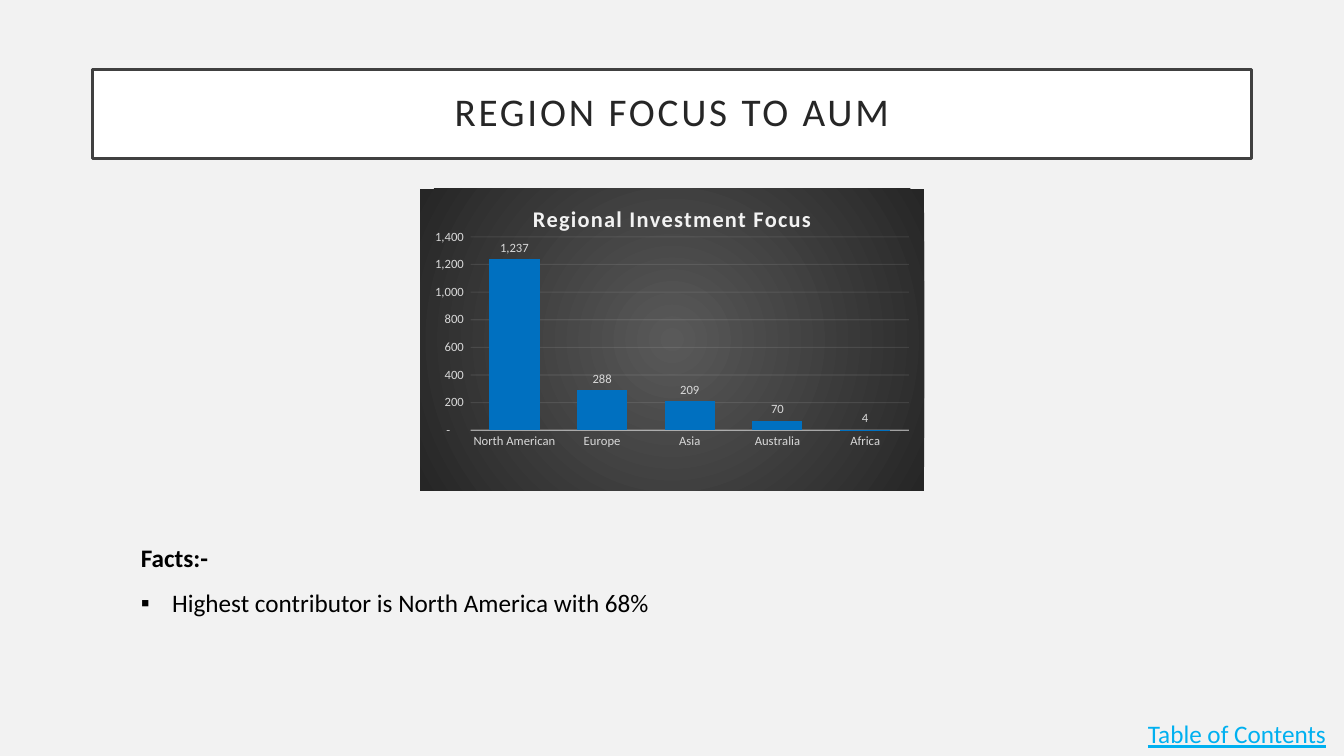
from lxml.etree import SubElement
from pptx import Presentation
from pptx.chart.data import CategoryChartData
from pptx.dml.color import RGBColor
from pptx.enum.chart import XL_CHART_TYPE, XL_LABEL_POSITION, XL_TICK_MARK
from pptx.enum.text import MSO_ANCHOR, MSO_AUTO_SIZE, PP_ALIGN
from pptx.oxml import parse_xml
from pptx.oxml.ns import nsdecls, qn
from pptx.util import Cm, Pt

TITLE = "REGION FOCUS TO AUM"
CHART_TITLE = "Regional Investment Focus"
REGIONS = {"North American": 1237, "Europe": 288, "Asia": 209, "Australia": 70, "Africa": 4}
FACTS = ["Facts:-", "Highest contributor is North America with 68%"]
CONTENTS_LABEL = "Table of Contents"
FONT = "Calibri"
NUMBER_FORMAT = '_(* #,##0_);_(* \\(#,##0\\);_(* "-"??_);_(@_)'
PLOT_LAYOUT = {"x": 0.1, "y": 0.16, "w": 0.87, "h": 0.64}

WHITE = RGBColor(0xFF, 0xFF, 0xFF)
BLACK = RGBColor(0, 0, 0)
PALE = RGBColor(0xF2, 0xF2, 0xF2)
LIGHT_GREY = RGBColor(0xD9, 0xD9, 0xD9)
MID_GREY = RGBColor(0x59, 0x59, 0x59)
DARK_GREY = RGBColor(0x40, 0x40, 0x40)
CHARCOAL = RGBColor(0x26, 0x26, 0x26)
BAR_BLUE = RGBColor(0, 0x70, 0xC0)
LINK_BLUE = RGBColor(0, 0xB0, 0xF0)


def style_font(font, size, color, bold=False):
    """Set the typeface, size, colour and weight of a font."""
    font.name, font.size, font.bold = FONT, Pt(size), bold
    font.color.rgb = color


def space_letters(span, points):
    """Set the letter spacing of a run."""
    span.font._element.set("spc", str(points * 100))


def draw_axis_line(axis, line, width, opacity):
    """Draw an axis or grid line in a translucent pale grey."""
    line.width = Pt(width)
    line.color.rgb = PALE
    color = axis._element.xpath(".//a:ln//a:srgbClr")[0]
    SubElement(color, qn("a:alpha"), val=str(opacity * 1000))


def add_title(page):
    """Format the title placeholder as a framed banner."""
    title = page.shapes.title
    title.left, title.top, title.width, title.height = Cm(2.33), Cm(1.75), Cm(29.21), Cm(2.24)
    title.fill.solid()
    title.fill.fore_color.rgb = WHITE
    title.line.color.rgb = DARK_GREY
    title.line.width = Pt(2.5)
    frame = title.text_frame
    frame.text = TITLE
    frame.vertical_anchor = MSO_ANCHOR.MIDDLE
    frame.margin_left = frame.margin_right = frame.margin_top = frame.margin_bottom = Cm(0.5)
    para = frame.paragraphs[0]
    para.alignment = PP_ALIGN.CENTER
    para.line_spacing = 0.9
    style_font(para.runs[0].font, 28, CHARCOAL)
    space_letters(para.runs[0], 2)


def add_region_chart(page):
    """Add the column chart on its dark radial background."""
    chart_data = CategoryChartData(number_format=NUMBER_FORMAT)
    chart_data.categories = list(REGIONS)
    chart_data.add_series("Series 1", list(REGIONS.values()))
    chart = page.shapes.add_chart(
        XL_CHART_TYPE.COLUMN_CLUSTERED, Cm(10.59), Cm(4.75), Cm(12.7), Cm(7.62), chart_data
    ).chart
    chart.has_legend = False
    style_font(chart.font, 10, BLACK)
    chart.chart_title.text_frame.text = CHART_TITLE
    heading = chart.chart_title.text_frame.paragraphs[0].runs[0]
    style_font(heading.font, 16, PALE, True)
    space_letters(heading, 1)
    chart.chart_title.include_in_layout = False

    regions, amounts = chart.category_axis, chart.value_axis
    for axis in (regions, amounts):
        axis.major_tick_mark = axis.minor_tick_mark = XL_TICK_MARK.NONE
        style_font(axis.tick_labels.font, 9, LIGHT_GREY)
    draw_axis_line(regions, regions.format.line, 1, 54)
    draw_axis_line(amounts, amounts.major_gridlines.format.line, 0.75, 10)
    amounts.format.line.fill.background()
    amounts.minimum_scale, amounts.maximum_scale, amounts.major_unit = 0, 1400, 200
    amounts.tick_labels.number_format = NUMBER_FORMAT
    amounts.tick_labels.number_format_is_linked = False

    plot = chart.plots[0]
    plot.gap_width, plot.overlap, plot.vary_by_categories = 75, 40, False
    series = plot.series[0]
    series.format.fill.solid()
    series.format.fill.fore_color.rgb = BAR_BLUE
    labels = series.data_labels
    labels.show_value = True
    labels.position = XL_LABEL_POSITION.OUTSIDE_END
    labels.number_format = NUMBER_FORMAT
    labels.number_format_is_linked = False
    style_font(labels.font, 9, LIGHT_GREY)

    plot_area = chart._chartSpace.chart.plotArea
    for layout in plot_area.findall(qn("c:layout")):
        plot_area.remove(layout)
    sizes = "".join(f'<c:{side} val="{share}"/>' for side, share in PLOT_LAYOUT.items())
    plot_area.insert(0, parse_xml(
        f'<c:layout {nsdecls("c")}><c:manualLayout><c:layoutTarget val="inner"/>'
        f'<c:xMode val="edge"/><c:yMode val="edge"/>{sizes}</c:manualLayout></c:layout>'
    ))
    chart._chartSpace.chart.addnext(parse_xml(
        f'<c:spPr {nsdecls("c", "a")}><a:gradFill><a:gsLst>'
        f'<a:gs pos="0"><a:srgbClr val="{MID_GREY}"/></a:gs>'
        f'<a:gs pos="100000"><a:srgbClr val="{CHARCOAL}"/></a:gs></a:gsLst>'
        '<a:path path="circle"><a:fillToRect l="50000" t="50000" r="50000" b="50000"/></a:path>'
        '</a:gradFill><a:ln><a:noFill/></a:ln></c:spPr>'
    ))


def add_text(page, lines, left, top, width, height, color):
    """Add an unwrapped text box and return its paragraphs."""
    box = page.shapes.add_textbox(Cm(left), Cm(top), Cm(width), Cm(height))
    frame = box.text_frame
    frame.text = "\n".join(lines)
    frame.word_wrap = False
    frame.auto_size = MSO_AUTO_SIZE.SHAPE_TO_FIT_TEXT
    for para in frame.paragraphs:
        style_font(para.runs[0].font, 18, color)
    return frame.paragraphs


def add_facts(page):
    """Add the bold heading and its bulleted fact."""
    heading, fact = add_text(page, FACTS, 3.3, 13.16, 13.74, 2.44, BLACK)
    heading.line_spacing = fact.line_spacing = 1.5
    heading.runs[0].font.bold = True
    properties = fact._p.get_or_add_pPr()
    indent = Cm(0.79)
    properties.set("marL", str(indent))
    properties.set("indent", str(-indent))
    SubElement(properties, qn("a:buFont"), typeface="Arial")
    SubElement(properties, qn("a:buChar"), char="▪")


def main():
    """Build and save the slide."""
    deck = Presentation()
    deck.slide_width, deck.slide_height = Cm(33.87), Cm(19.05)
    page = deck.slides.add_slide(deck.slide_layouts[5])
    page.background.fill.solid()
    page.background.fill.fore_color.rgb = PALE
    add_title(page)
    add_facts(page)
    add_region_chart(page)
    contents = add_text(page, [CONTENTS_LABEL], 28.68, 17.98, 5.16, 1.02, LINK_BLUE)[0]
    contents.runs[0].font.underline = True
    deck.save("out.pptx")


if __name__ == "__main__":
    main()
